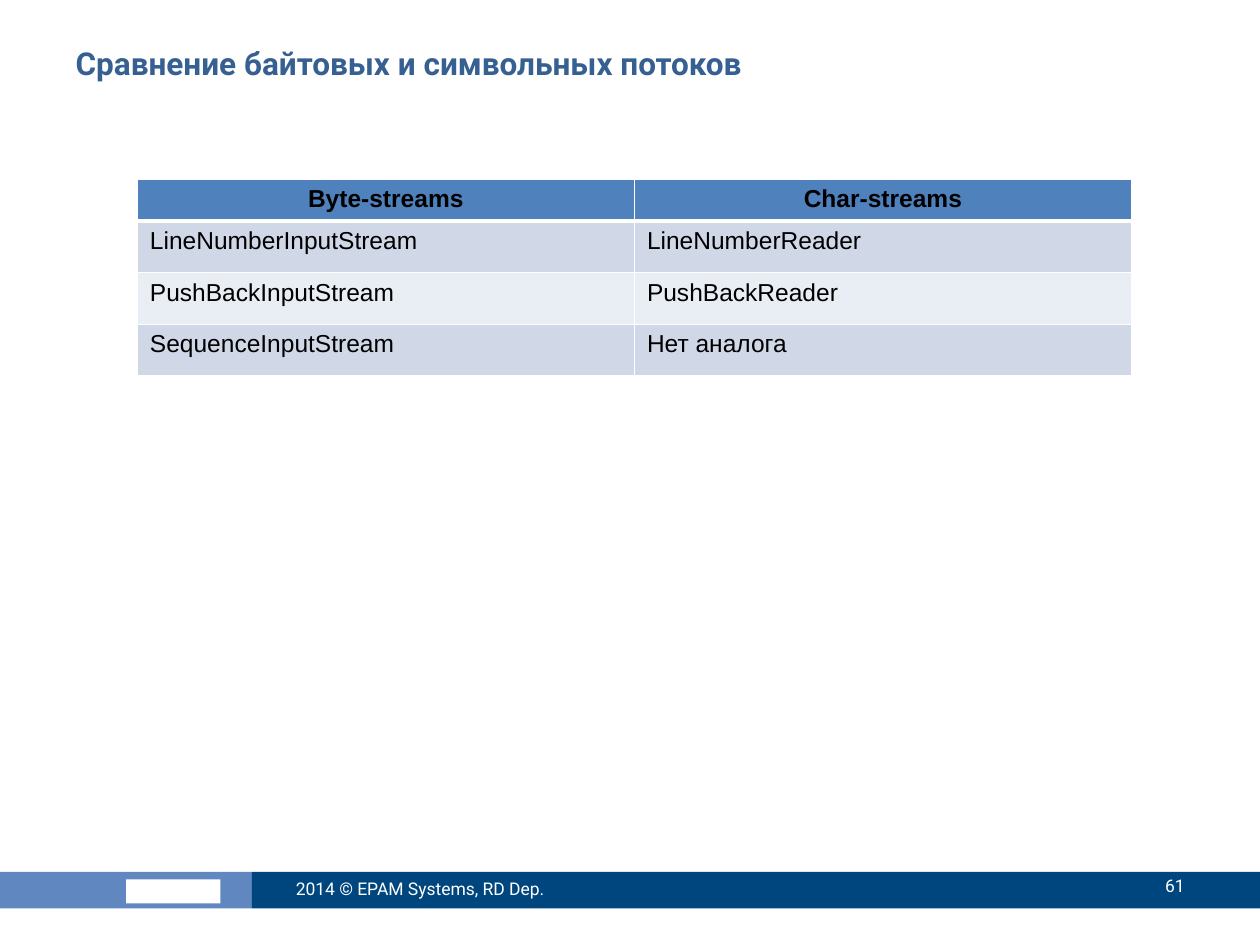
"""Build the slide comparing byte streams and character streams."""
import pptx
import pptx.dml.color
import pptx.enum.shapes
import pptx.enum.text
import pptx.oxml
import pptx.oxml.ns
import pptx.util

Inches = pptx.util.Inches
Pt = pptx.util.Pt
RGBColor = pptx.dml.color.RGBColor
Align = pptx.enum.text.PP_ALIGN
Anchor = pptx.enum.text.MSO_ANCHOR

WHITE = RGBColor(0xFF, 0xFF, 0xFF)
BLACK = RGBColor(0x00, 0x00, 0x00)
TITLE_BLUE = RGBColor(0x37, 0x60, 0x92)
BAND_LIGHT = RGBColor(0x60, 0x87, 0xBF)
BAND_DARK = RGBColor(0x00, 0x46, 0x7E)
HEADER_FILL = RGBColor(0x4F, 0x81, 0xBD)
ROW_FILLS = (RGBColor(0xE9, 0xED, 0xF4), RGBColor(0xD0, 0xD8, 0xE8))

STREAMS = [
    ("Byte-streams", "Char-streams"),
    ("LineNumberInputStream", "LineNumberReader"),
    ("PushBackInputStream", "PushBackReader"),
    ("SequenceInputStream", "Нет аналога"),
]


def write(frame, text, size, font, color, bold=False, align=Align.LEFT):
    """Put one formatted run into the first paragraph of a text frame."""
    paragraph = frame.paragraphs[0]
    paragraph.alignment = align
    run = paragraph.add_run()
    run.text = text
    run.font.size = Pt(size)
    run.font.name = font
    run.font.bold = bold
    run.font.color.rgb = color


def add_title(slide, text):
    """Place and fill the title placeholder."""
    title = slide.shapes.title
    title.left, title.top = Inches(0.5), Inches(0.3)
    title.width, title.height = Inches(9), Inches(0.78)
    title.text_frame.vertical_anchor = Anchor.TOP
    write(title.text_frame, text, 18, "Roboto", TITLE_BLUE, bold=True)


def add_block(slide, left, top, width, height, color):
    """Draw a plain filled rectangle."""
    block = slide.shapes.add_shape(
        pptx.enum.shapes.MSO_SHAPE.RECTANGLE,
        Inches(left), Inches(top), Inches(width), Inches(height))
    block.shadow.inherit = False
    block.fill.solid()
    block.fill.fore_color.rgb = color
    block.line.fill.background()


def add_footer_text(slide, left, top, width, text, align):
    """Add white text on the footer band."""
    label = slide.shapes.add_textbox(
        Inches(left), Inches(top), Inches(width), Inches(0.4))
    label.text_frame.word_wrap = True
    label.text_frame.vertical_anchor = Anchor.MIDDLE
    write(label.text_frame, text, 10, "Roboto", WHITE, align=align)


def add_borders(cell, top, bottom):
    """Give a cell white borders, with top and bottom widths in points."""
    properties = cell._tc.get_or_add_tcPr()
    for side, width in (("L", 1), ("R", 1), ("T", top), ("B", bottom)):
        properties.append(pptx.oxml.parse_xml(
            f'<a:ln{side} {pptx.oxml.ns.nsdecls("a")} w="{Pt(width)}">'
            f'<a:solidFill><a:srgbClr val="{WHITE}"/></a:solidFill></a:ln{side}>'))


def add_stream_table(slide):
    """Add the table of matching stream classes."""
    table = slide.shapes.add_table(
        len(STREAMS), 2, Inches(1.09), Inches(1.42), Inches(7.89), Inches(1.55)).table
    for row_index, names in enumerate(STREAMS):
        header = row_index == 0
        table.rows[row_index].height = Inches(0.33 if header else 0.41)
        for column_index, name in enumerate(names):
            cell = table.cell(row_index, column_index)
            add_borders(cell, 3 if row_index == 1 else 1, 3 if header else 1)
            cell.fill.solid()
            cell.fill.fore_color.rgb = HEADER_FILL if header else ROW_FILLS[row_index % 2]
            write(cell.text_frame, name, 14, "Arial", BLACK, bold=header,
                  align=Align.CENTER if header else Align.LEFT)


def main():
    """Assemble and save the slide."""
    deck = pptx.Presentation()
    deck.slide_width, deck.slide_height = Inches(10), Inches(7.5)
    slide = deck.slides.add_slide(deck.slide_layouts[5])
    add_block(slide, 0, 6.92, 2, 0.29, BAND_LIGHT)
    add_block(slide, 1, 6.98, 0.75, 0.19, WHITE)
    add_block(slide, 2, 6.92, 8, 0.29, BAND_DARK)
    add_title(slide, "Сравнение байтовых и символьных потоков")
    add_footer_text(slide, 2.25, 6.85, 2.67, "2014 © EPAM Systems, RD Dep.", Align.LEFT)
    add_footer_text(slide, 8.42, 6.83, 1.08, "61", Align.RIGHT)
    add_stream_table(slide)
    deck.save("out.pptx")


if __name__ == "__main__":
    main()
